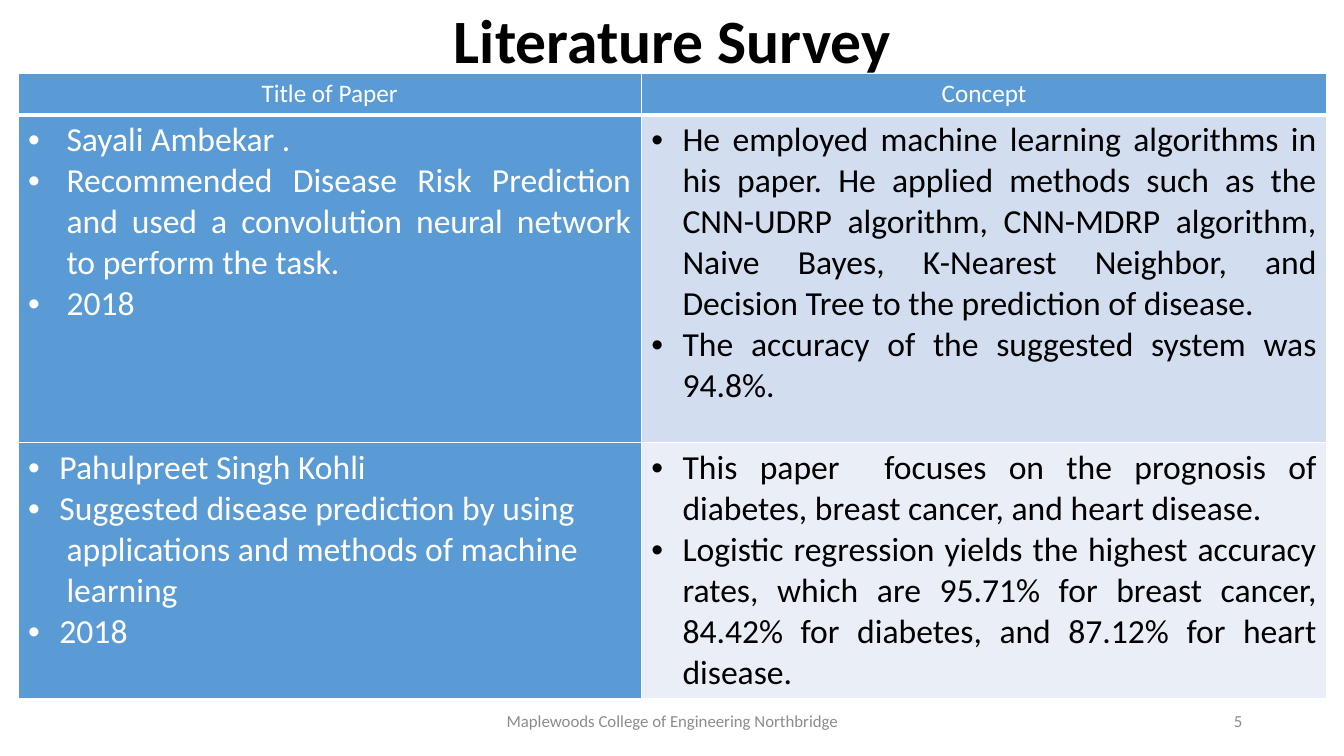
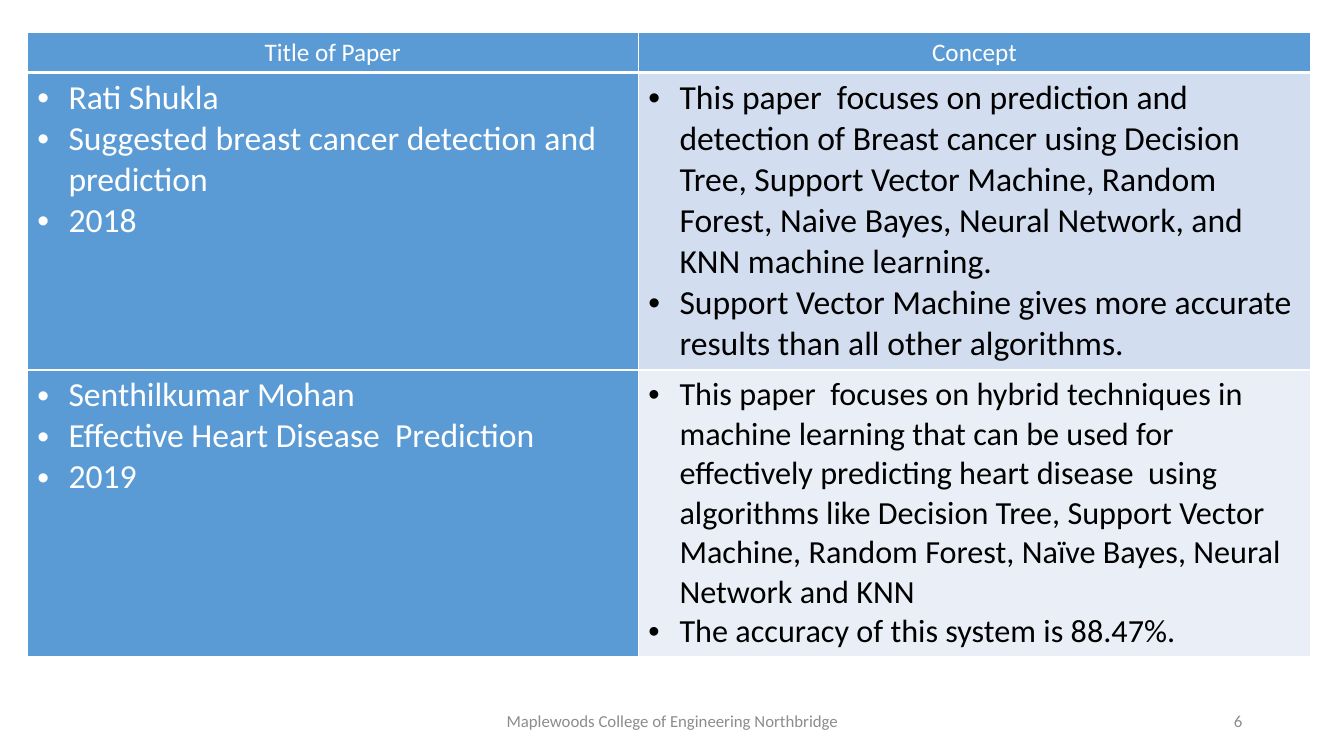
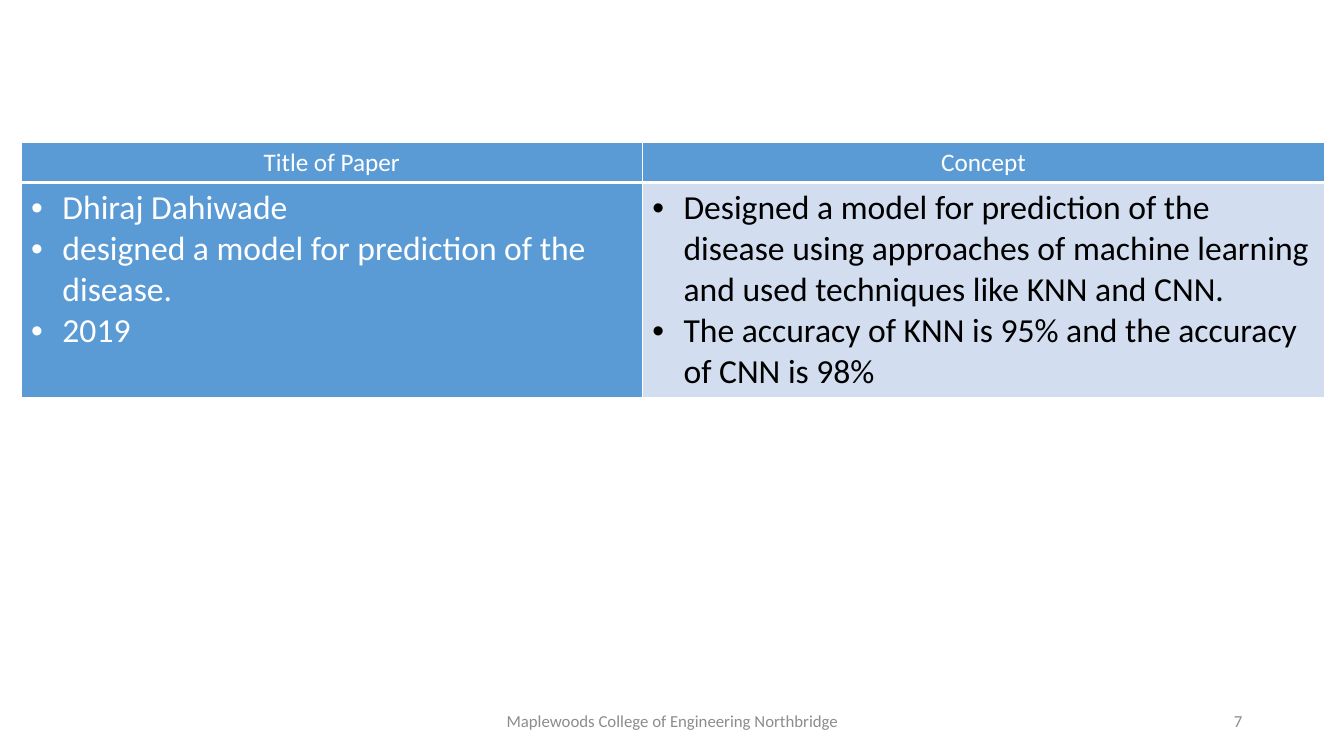
from dataclasses import dataclass
from typing import Any

from lxml import etree
from pptx import Presentation
from pptx import util as u
from pptx.dml import color
from pptx.enum import text
from pptx.oxml import ns


@dataclass(frozen=True)
class Theme:
    font: str = "Calibri"
    accent: str = "5B9BD5"
    bands: tuple[str, str] = ("D2DEEF", "EAEFF7")
    light: str = "FFFFFF"
    dark: str = "000000"
    muted: str = "8C8C8C"
    title_size: int = 44
    header_size: int = 18
    body_size: int = 24
    compact_size: int = 23
    footer_size: int = 12
    thin: int = 1
    thick: int = 3


@dataclass(frozen=True)
class Item:
    text: str
    indent: float = 0.31
    bulleted: bool = True


@dataclass(frozen=True)
class Entry:
    items: tuple[Item, ...]
    justified: bool = False
    compact: bool = False


@dataclass(frozen=True)
class Paper:
    reference: Entry
    concept: Entry
    height: float


@dataclass(frozen=True)
class SurveyPage:
    number: int
    left: float
    top: float
    columns: tuple[float, float]
    header_height: float
    papers: tuple[Paper, ...]
    title: str = ""


@dataclass(frozen=True)
class FooterPart:
    left: float
    width: float
    alignment: Any


THEME = Theme()
SLIDE_WIDTH, SLIDE_HEIGHT = 13.33, 7.5
TITLE_ONLY, BLANK = 5, 6
HEADINGS = ("Title of Paper", "Concept")
INSTITUTION = "Maplewoods College of Engineering Northbridge"
FOOTER_TEXT = FooterPart(4.42, 4.5, text.PP_ALIGN.CENTER)
FOOTER_NUMBER = FooterPart(9.42, 3, text.PP_ALIGN.RIGHT)


def bullets(*texts: str, indent: float = 0.31) -> tuple[Item, ...]:
    return tuple(Item(line, indent) for line in texts)


PAGES = (
    SurveyPage(
        5, 0.18, 0.73, (6.18, 6.8), 0.41,
        (
            Paper(
                Entry(bullets(
                    "Sayali Ambekar .",
                    "Recommended Disease Risk Prediction and used a convolution "
                    "neural network to perform the task.",
                    "2018",
                    indent=0.38,
                ), justified=True),
                Entry(bullets(
                    "He employed machine learning algorithms in his paper. He applied "
                    "methods such as the CNN-UDRP algorithm, CNN-MDRP algorithm, Naive "
                    "Bayes, K-Nearest Neighbor, and Decision Tree to the prediction of "
                    "disease.",
                    "The accuracy of the suggested system was 94.8%.",
                ), justified=True),
                3.25,
            ),
            Paper(
                Entry((
                    Item("Pahulpreet Singh Kohli"),
                    Item("Suggested disease prediction by using"),
                    Item("applications and methods of machine", 0.38, False),
                    Item("learning", 0.38, False),
                    Item("2018"),
                )),
                Entry(bullets(
                    "This paper  focuses on the prognosis of diabetes, breast cancer, "
                    "and heart disease.",
                    "Logistic regression yields the highest accuracy rates, which are "
                    "95.71% for breast cancer, 84.42% for diabetes, and 87.12% for heart "
                    "disease.",
                ), justified=True),
                2.54,
            ),
        ),
        title="Literature Survey",
    ),
    SurveyPage(
        6, 0.27, 0.32, (6.06, 6.67), 0.4,
        (
            Paper(
                Entry(bullets(
                    "Rati Shukla",
                    "Suggested breast cancer detection and prediction",
                    "2018",
                )),
                Entry(bullets(
                    "This paper  focuses on prediction and detection of Breast cancer "
                    "using Decision Tree, Support Vector Machine, Random Forest, Naive "
                    "Bayes, Neural Network, and KNN machine learning.",
                    "Support Vector Machine gives more accurate results than all other "
                    "algorithms.",
                )),
                2.95,
            ),
            Paper(
                Entry(bullets(
                    "Senthilkumar Mohan",
                    "Effective Heart Disease  Prediction",
                    "2019",
                )),
                Entry(bullets(
                    "This paper  focuses on hybrid techniques in machine learning that "
                    "can be used for effectively predicting heart disease  using "
                    "algorithms like Decision Tree, Support Vector Machine, Random "
                    "Forest, Naïve Bayes, Neural Network and KNN",
                    "The accuracy of this system is 88.47%.",
                ), compact=True),
                2.84,
            ),
        ),
    ),
    SurveyPage(
        7, 0.21, 1.41, (6.16, 6.77), 0.4,
        (
            Paper(
                Entry(bullets(
                    "Dhiraj Dahiwade",
                    "designed a model for prediction of the disease.",
                    "2019",
                )),
                Entry(bullets(
                    "Designed a model for prediction of the disease using approaches of "
                    "machine learning and used techniques like KNN and CNN.",
                    "The accuracy of KNN is 95% and the accuracy of CNN is 98%",
                )),
                2.13,
            ),
        ),
    ),
)


def apply(target: Any, values: dict[str, Any]) -> None:
    for name, value in values.items():
        setattr(target, name, value)


def write(paragraph: Any, content: str, size: int, rgb: str, alignment: Any,
          bold: bool = False) -> None:
    paragraph.alignment = alignment
    run = paragraph.add_run()
    run.text = content
    apply(run.font, {"name": THEME.font, "size": u.Pt(size), "bold": bold})
    run.font.color.rgb = color.RGBColor.from_string(rgb)


def indent_item(paragraph: Any, item: Item) -> None:
    properties = paragraph._p.get_or_add_pPr()
    margin = u.Inches(item.indent)
    properties.set("marL", str(margin))
    properties.set("indent", str(-margin if item.bulleted else 0))
    if item.bulleted:
        etree.SubElement(properties, ns.qn("a:buFont"), typeface="Arial")
        etree.SubElement(properties, ns.qn("a:buChar"), char="•")


def paint_cell(cell: Any, rgb: str, bottom: int = THEME.thin) -> None:
    cell.fill.solid()
    cell.fill.fore_color.rgb = color.RGBColor.from_string(rgb)
    properties = cell._tc.get_or_add_tcPr()
    widths = {"lnL": THEME.thin, "lnR": THEME.thin, "lnT": THEME.thin, "lnB": bottom}
    for position, (side, width) in enumerate(widths.items()):
        line = etree.Element(ns.qn(f"a:{side}"), w=str(u.Pt(width)))
        fill = etree.SubElement(line, ns.qn("a:solidFill"))
        etree.SubElement(fill, ns.qn("a:srgbClr"), val=THEME.light)
        properties.insert(position, line)


def fill_entry(cell: Any, entry: Entry, rgb: str) -> None:
    frame = cell.text_frame
    size = THEME.compact_size if entry.compact else THEME.body_size
    alignment = text.PP_ALIGN.JUSTIFY if entry.justified else text.PP_ALIGN.LEFT
    for index, item in enumerate(entry.items):
        paragraph = frame.add_paragraph() if index else frame.paragraphs[0]
        write(paragraph, item.text, size, rgb, alignment)
        indent_item(paragraph, item)


def add_survey_table(slide: Any, page: SurveyPage) -> None:
    heights = (page.header_height, *(paper.height for paper in page.papers))
    table = slide.shapes.add_table(
        len(heights), len(page.columns), u.Inches(page.left), u.Inches(page.top),
        u.Inches(sum(page.columns)), u.Inches(sum(heights)),
    ).table
    table.horz_banding = False
    for column, width in zip(table.columns, page.columns):
        column.width = u.Inches(width)
    for row, height in zip(table.rows, heights):
        row.height = u.Inches(height)
    for index, heading in enumerate(HEADINGS):
        cell = table.cell(0, index)
        paint_cell(cell, THEME.accent, THEME.thick)
        write(cell.text_frame.paragraphs[0], heading, THEME.header_size, THEME.light,
              text.PP_ALIGN.CENTER)
    for index, paper in enumerate(page.papers):
        reference, concept = table.rows[index + 1].cells
        paint_cell(reference, THEME.accent)
        fill_entry(reference, paper.reference, THEME.light)
        paint_cell(concept, THEME.bands[index % len(THEME.bands)])
        fill_entry(concept, paper.concept, THEME.dark)


def add_footer(slide: Any, part: FooterPart, content: str) -> None:
    shape = slide.shapes.add_textbox(
        u.Inches(part.left), u.Inches(6.95), u.Inches(part.width), u.Inches(0.4))
    apply(shape.text_frame, {"word_wrap": True,
                             "vertical_anchor": text.MSO_ANCHOR.MIDDLE})
    write(shape.text_frame.paragraphs[0], content, THEME.footer_size, THEME.muted,
          part.alignment)


def add_title(slide: Any, content: str) -> None:
    shape = slide.shapes.title
    apply(shape, {"left": u.Inches(0.92), "top": u.Inches(-0.01),
                  "width": u.Inches(11.5), "height": u.Inches(0.88)})
    apply(shape.text_frame, {"word_wrap": True, "auto_size": text.MSO_AUTO_SIZE.NONE,
                             "vertical_anchor": text.MSO_ANCHOR.MIDDLE})
    paragraph = shape.text_frame.paragraphs[0]
    paragraph.line_spacing = 0.9
    write(paragraph, content, THEME.title_size, THEME.dark, text.PP_ALIGN.CENTER, True)


def add_page(presentation: Any, page: SurveyPage) -> None:
    layout = presentation.slide_layouts[TITLE_ONLY if page.title else BLANK]
    slide = presentation.slides.add_slide(layout)
    if page.title:
        add_title(slide, page.title)
    add_footer(slide, FOOTER_TEXT, INSTITUTION)
    add_footer(slide, FOOTER_NUMBER, str(page.number))
    add_survey_table(slide, page)


def main() -> None:
    presentation = Presentation()
    apply(presentation, {"slide_width": u.Inches(SLIDE_WIDTH),
                         "slide_height": u.Inches(SLIDE_HEIGHT)})
    for page in PAGES:
        add_page(presentation, page)
    presentation.save("out.pptx")


if __name__ == "__main__":
    main()
